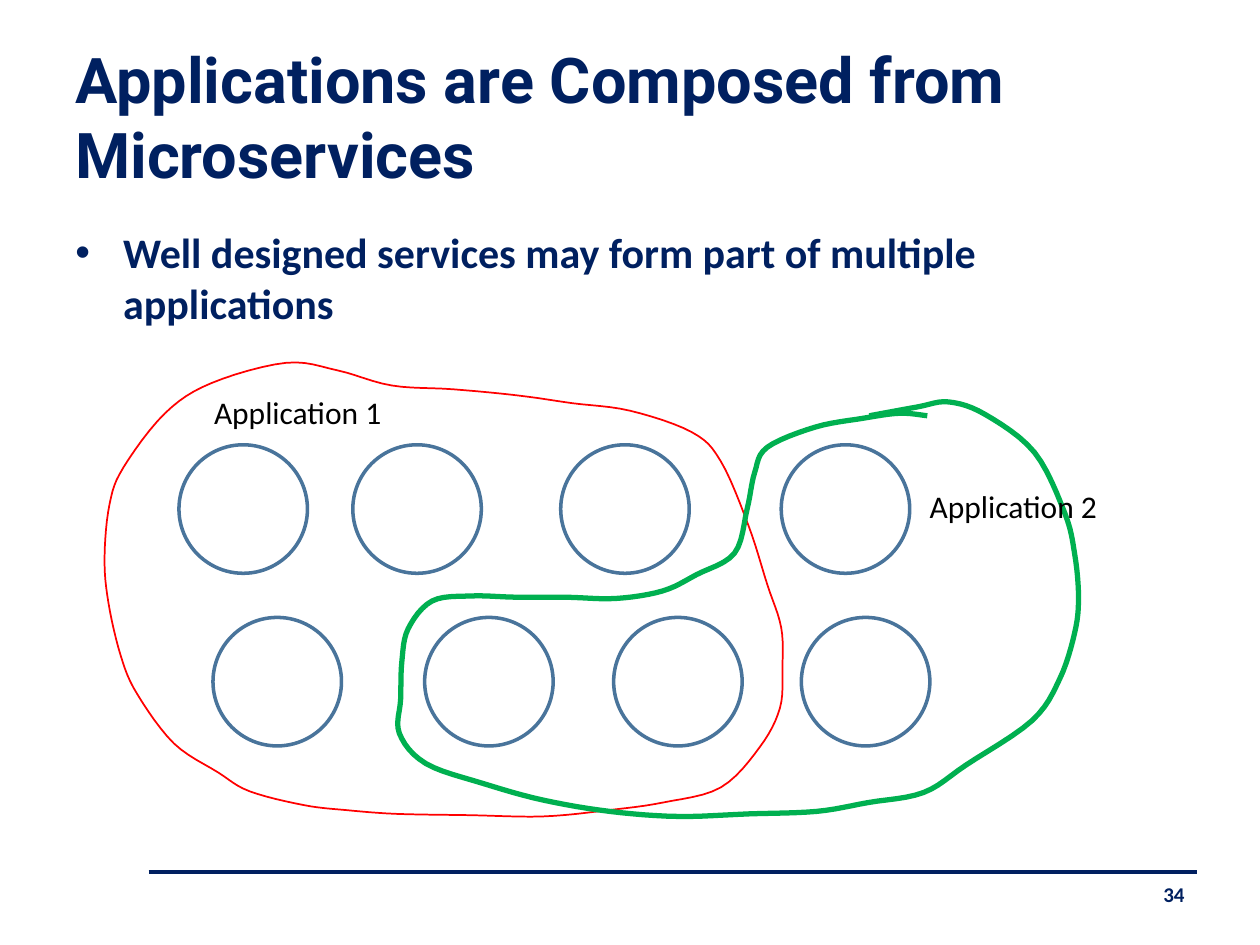
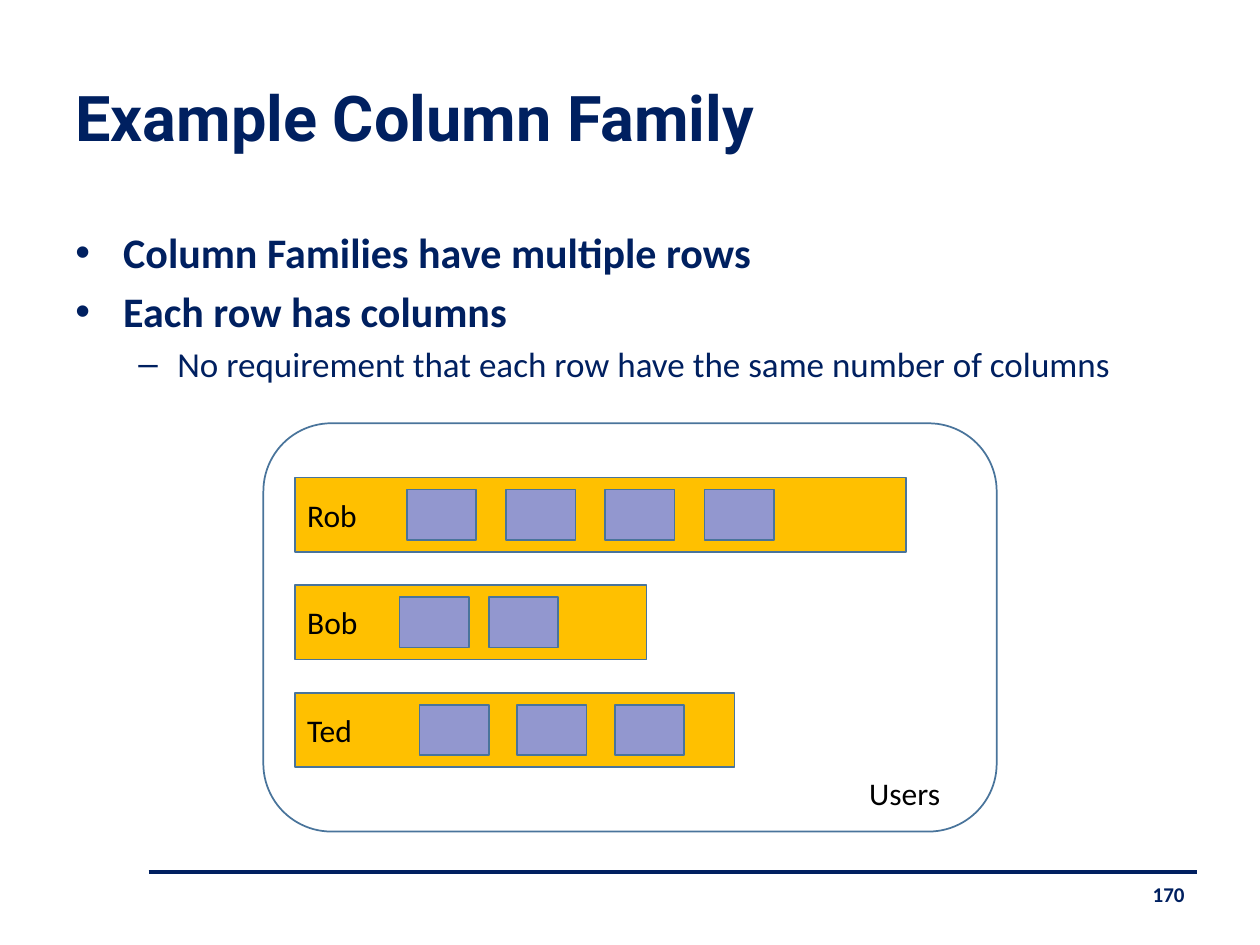
import dataclasses
import itertools

import pptx
import pptx.dml.color
import pptx.enum.shapes
import pptx.enum.text
import pptx.oxml.ns
import pptx.util
from lxml import etree

# Every length below is counted in square cells: 100 columns by 75 rows.
COLUMNS = 100


@dataclasses.dataclass(frozen=True)
class Theme:
    navy: str = "002060"
    steel: str = "49749B"
    red: str = "FF0000"
    green: str = "00B050"
    amber: str = "FFC000"
    lilac: str = "9297CF"
    black: str = "000000"
    # Text styles: colour name and font format
    title: tuple = ("navy", {"name": "Roboto", "size": pptx.util.Pt(36), "bold": True})
    bullet: tuple = ("navy", {"name": "Calibri", "size": pptx.util.Pt(24), "bold": True})
    dash: tuple = ("navy", {"name": "Calibri", "size": pptx.util.Pt(20), "bold": False})
    label: tuple = ("black", {"name": "Calibri", "size": pptx.util.Pt(18)})
    number: tuple = ("navy", {"name": "Calibri", "size": pptx.util.Pt(12), "bold": True})

    def color(self, name):
        return pptx.dml.color.RGBColor.from_string(getattr(self, name))


theme = Theme()
presentation = pptx.Presentation()
presentation.slide_width = pptx.util.Inches(10)
presentation.slide_height = pptx.util.Inches(7.5)
CELL = presentation.slide_width // COLUMNS

# Bullet character, left margin, hanging indent, points of space before
BULLETS = {"bullet": ("•", 3.8, 3.8, 4.8), "dash": ("–", 8.1, 3.1, 4)}


def add_text(slide, box, lines, frame_format=None, alignment=None):
    """Add a text box; lines are (style name, text) pairs."""
    frame = slide.shapes.add_textbox(*(round(length * CELL) for length in box)).text_frame
    for attribute, value in {"word_wrap": True, **(frame_format or {})}.items():
        setattr(frame, attribute, value)
    for index, (style, text) in enumerate(lines):
        paragraph = frame.add_paragraph() if index else frame.paragraphs[0]
        paragraph.alignment = alignment
        if style in BULLETS:
            character, margin, hanging, space = BULLETS[style]
            properties = paragraph._p.get_or_add_pPr()
            properties.set("marL", str(round(margin * CELL)))
            properties.set("indent", str(round(-hanging * CELL)))
            for tag, key, value in (("a:buFont", "typeface", "Arial"),
                                    ("a:buChar", "char", character)):
                etree.SubElement(properties, pptx.oxml.ns.qn(tag)).set(key, value)
            if index:
                paragraph.space_before = pptx.util.Pt(space)
        run = paragraph.add_run()
        run.text = text
        color, font_format = getattr(theme, style)
        for attribute, value in font_format.items():
            setattr(run.font, attribute, value)
        run.font.color.rgb = theme.color(color)


def paint(shape, line="steel", width=1, fill=None):
    """Give a shape its outline and its fill; without a fill it is see-through."""
    shape.shadow.inherit = False
    if fill:
        shape.fill.solid()
        shape.fill.fore_color.rgb = theme.color(fill)
    else:
        shape.fill.background()
    shape.line.color.rgb = theme.color(line)
    shape.line.width = pptx.util.Pt(width)


# Shared frame of both slides: title, body text, footer rule and slide number
LEFT, RIGHT = 5, 95
RULE_LEFT, RULE_TOP = 11.8, 69.2
pages = [
    ("Applications are Composed from Microservices", "34",
     [("bullet", "Well designed services may form part of multiple applications")]),
    ("Example Column Family", "170",
     [("bullet", "Column Families have multiple rows"),
      ("bullet", "Each row has columns"),
      ("dash", "No requirement that each row have the same number of columns")]),
]
for title, number, body in pages:
    slide = presentation.slides.add_slide(presentation.slide_layouts[6])
    rule = slide.shapes.add_connector(
        pptx.enum.shapes.MSO_CONNECTOR.STRAIGHT,
        *(round(length * CELL) for length in (RULE_LEFT, RULE_TOP, RIGHT, RULE_TOP)))
    rule.line.color.rgb = theme.color("navy")
    rule.line.width = pptx.util.Pt(2.25)
    etree.SubElement(rule._element.spPr, pptx.oxml.ns.qn("a:effectLst"))
    add_text(slide, (LEFT, 2.9, 90.7, 12.6), [("title", title)],
             {"vertical_anchor": pptx.enum.text.MSO_ANCHOR.MIDDLE})
    add_text(slide, (LEFT, 17.5, RIGHT - LEFT, 50), body)
    add_text(slide, (65.8, 69.5, 29.2, 4), [("number", number)],
             alignment=pptx.enum.text.PP_ALIGN.RIGHT)

applications_slide, family_slide = presentation.slides
preset = pptx.enum.shapes.MSO_SHAPE
NO_WRAP = {"word_wrap": False}
LABEL_HEIGHT = 4

# Services: two rows of equal circles, keyed by the top of the row
SERVICE_SIZE = 10.2
service_rows = {35.3: (14.2, 28, 44.5, 62), 49: (16.9, 33.7, 48.7, 63.6)}
for top, lefts in service_rows.items():
    for left in lefts:
        circle = applications_slide.shapes.add_shape(
            preset.OVAL, *(round(v * CELL) for v in (left, top, SERVICE_SIZE, SERVICE_SIZE)))
        paint(circle, width=2)

# Applications: a smooth loop through a few anchors, side by side around the services
application_1 = {
    "top": [(22.7, 28.8), (26.8, 29.4), (31.1, 30.6), (36, 30.9), (41.2, 31.4),
            (45.4, 32), (50, 32.6), (54.9, 34.3)],
    "right": [(57.2, 36.6), (59.4, 41.7), (60.9, 46.4), (62, 49.8), (62.1, 53),
              (61.9, 56.2), (60.3, 59.3), (57.2, 62.5)],
    "bottom": [(52.6, 63.7), (48.3, 64.3), (43.1, 64.8), (37.3, 64.7), (31.5, 64.6),
               (27.5, 64.3), (24.1, 63.9), (19.8, 62.8)],
    "left": [(17.3, 61.3), (13.8, 59), (10.9, 55.1), (9.6, 52.1), (8.6, 47.8),
             (8.3, 44.2), (8.7, 40), (9.8, 37.1), (13.1, 32.8), (16.8, 30.4)],
}
application_2 = {
    "upper left": [(73.6, 33), (71.4, 32.8), (68.5, 33.2), (64.7, 33.9), (60.9, 35.5),
                   (59.9, 37.5), (59.3, 40.4), (58.3, 43.9)],
    "inner edge": [(55.3, 45.6), (52.6, 46.9), (48.9, 47.5), (44.9, 47.4), (41, 47.4),
                   (37.4, 47.3), (34.3, 47.7)],
    "lower left": [(32.4, 49.9), (31.9, 52.5), (31.8, 55.5), (31.7, 58.2), (33.8, 60.6)],
    "bottom": [(38.4, 62.2), (43.1, 63.5), (48.4, 64.4), (53.8, 64.8), (59.4, 64.6),
               (64.8, 64.4), (68.9, 63.7), (73.3, 62.9)],
    "right": [(76.7, 60.7), (81.9, 57.2), (84.1, 53.9), (85.3, 50.2), (85.6, 47.4),
              (85.3, 44), (84.5, 40.7), (82.1, 35.9)],
    "top": [(78.2, 32.9), (75.3, 31.9), (72.8, 32.3), (69, 33)],
}
STEPS = 6
applications = [
    ("Application 1", (16, 30.7), application_1, True, {"line": "red", "width": 1}),
    ("Application 2", (72.8, 38.2), application_2, False, {"line": "green", "width": 3}),
]
for name, label_corner, sides, closed, stroke in applications:
    anchors = list(itertools.chain.from_iterable(sides.values()))
    if closed:
        padded = [anchors[-1], *anchors, *anchors[:2]]
    else:
        padded = [anchors[0], *anchors, anchors[-1]]
    # Catmull-Rom spline: between b and c the curve follows the slopes a-c and b-d
    curve = [
        tuple(round(CELL * (b + t * (c - a) / 2
                            + t ** 2 * (2 * a - 5 * b + 4 * c - d) / 2
                            + t ** 3 * (3 * b - a - 3 * c + d) / 2))
              for a, b, c, d in zip(*window))
        for window in zip(padded, padded[1:], padded[2:], padded[3:])
        for t in (step / STEPS for step in range(STEPS + 1))
    ]
    builder = applications_slide.shapes.build_freeform(*curve[0])
    builder.add_line_segments(curve[1:], close=closed)
    paint(builder.convert_to_shape(), **stroke)
    add_text(applications_slide, (*label_corner, 15.5, LABEL_HEIGHT), [("label", name)], NO_WRAP)

# Column family: equally spaced bands, each with its own number of columns
FAMILY_BOX = (20.9, 33.6, 58.2, 32.4)
BAND_LEFT, BAND_TOP, BAND_PITCH, BAND_HEIGHT = 23.4, 37.9, 8.55, 5.9
COLUMN_WIDTH, COLUMN_HEIGHT = 5.5, 4
KEY_WIDTH = 6
# key, band width, left of the first column, column pitch, number of columns
family_rows = [("Rob", 48.5, 32.3, 7.87, 4),
               ("Bob", 27.9, 31.7, 7.1, 2),
               ("Ted", 34.9, 33.3, 7.75, 3)]
rectangles = [(preset.ROUNDED_RECTANGLE, FAMILY_BOX, None)]
keys = []
for index, (key, band_width, first_left, pitch, count) in enumerate(family_rows):
    band_top = BAND_TOP + index * BAND_PITCH
    column_top = band_top + (BAND_HEIGHT - COLUMN_HEIGHT) / 2
    rectangles.append(
        (preset.RECTANGLE, (BAND_LEFT, band_top, band_width, BAND_HEIGHT), "amber"))
    keys.append((key, (BAND_LEFT, column_top, KEY_WIDTH, LABEL_HEIGHT)))
    for column in range(count):
        column_box = (first_left + column * pitch, column_top, COLUMN_WIDTH, COLUMN_HEIGHT)
        rectangles.append((preset.RECTANGLE, column_box, "lilac"))
for kind, box, fill in rectangles:
    paint(family_slide.shapes.add_shape(kind, *(round(v * CELL) for v in box)), fill=fill)
for key, box in [*keys, ("Users", (68, 60.9, 8.2, LABEL_HEIGHT))]:
    add_text(family_slide, box, [("label", key)], NO_WRAP)

presentation.save("out.pptx")
